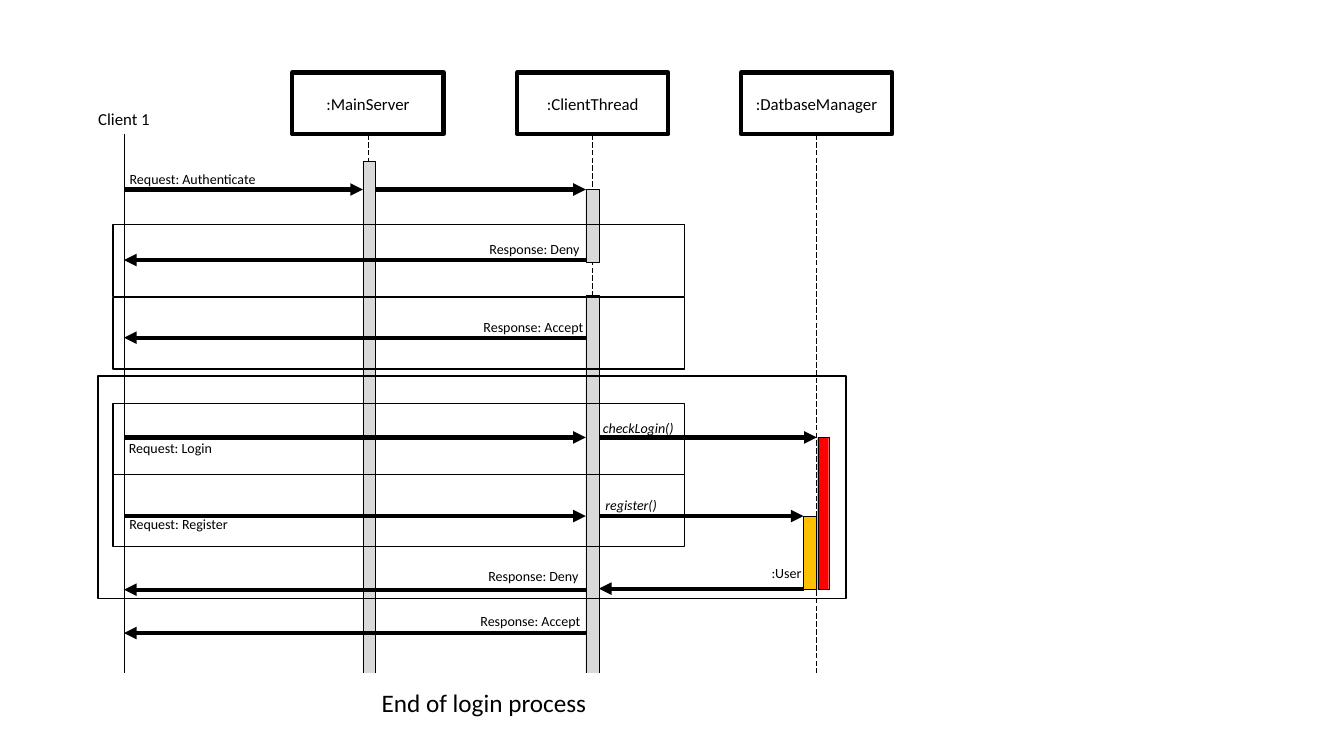
from dataclasses import dataclass
from typing import Optional

from lxml import etree
from pptx import Presentation
from pptx.dml.color import RGBColor
from pptx.enum.dml import MSO_LINE
from pptx.enum.shapes import MSO_CONNECTOR, MSO_SHAPE
from pptx.enum.text import MSO_ANCHOR, MSO_AUTO_SIZE, PP_ALIGN
from pptx.oxml.ns import qn
from pptx.shapes.autoshape import Shape
from pptx.shapes.connector import Connector
from pptx.slide import Slide
from pptx.util import Emu, Pt

RECT, LINE = MSO_SHAPE.RECTANGLE, MSO_CONNECTOR.STRAIGHT
DASH, CENTER = MSO_LINE.LONG_DASH, PP_ALIGN.CENTER
TOP, MIDDLE = MSO_ANCHOR.TOP, MSO_ANCHOR.MIDDLE
GROW, FIXED = MSO_AUTO_SIZE.SHAPE_TO_FIT_TEXT, MSO_AUTO_SIZE.NONE
BOTTOM = 2  # connection site
SCALE = 9144  # EMU in one px, 100 px to the inch


@dataclass(frozen=True)
class Theme:
    font: str = "Calibri"
    ink: str = "000000"
    paper: str = "FFFFFF"
    gray: str = "D9D9D9"
    red: str = "FF0000"
    gold: str = "FFC000"
    title: int = 18
    head: int = 12
    label: int = 10
    bold: float = 3
    frame: float = 1
    thin: float = 0.5
    hair: float = 0.25


@dataclass(frozen=True)
class Box:
    x: int
    y: int
    w: int
    h: int
    fill: Optional[str] = None


@dataclass(frozen=True)
class Arrow:
    start: int
    end: int
    y: int


@dataclass(frozen=True)
class Label:
    text: str
    x: int
    y: int
    italic: bool = False


THEME = Theme()

# Lifelines: middle of each column
CLIENT, MAIN, THREAD, BASE = 123, 365, 588, 810
HEADS = {":MainServer": MAIN, ":ClientThread": THREAD, ":DatbaseManager": BASE}
HEAD_W, HEAD_H, HEAD_Y, LIFE_END = 150, 61, 72, 732

BARS = [
    Box(360, 160, 12, 508, THEME.gray),
    Box(581, 188, 13, 72, THEME.gray),
    Box(581, 293, 13, 375, THEME.gray),
    Box(811, 434, 11, 151, THEME.red),
    Box(797, 512, 13, 73, THEME.gold),
]
FRAMES = [Box(112, y, 567, 71) for y in (223, 295, 400, 471)]
FRAMES.append(Box(97, 373, 742, 221))

ARROWS = [
    Arrow(CLIENT, 360, 188), Arrow(372, 581, 188),
    Arrow(581, CLIENT, 258), Arrow(581, CLIENT, 335),
    Arrow(CLIENT, 581, 434), Arrow(594, BASE, 434),
    Arrow(CLIENT, 581, 512), Arrow(594, 797, 512),
    Arrow(797, 594, 584), Arrow(581, CLIENT, 585),
    Arrow(581, CLIENT, 628),
]
LABELS = [
    Label("Request: Authenticate", 95, 164),
    Label("Response: Deny", 434, 234),
    Label("Response: Accept", 433, 311),
    Label("Request: Login", 73, 431),
    Label("checkLogin()", 537, 411, True),
    Label("Request: Register", 81, 507),
    Label("register()", 530, 488, True),
    Label(":User", 684, 555),
    Label("Response: Deny", 433, 558),
    Label("Response: Accept", 430, 603),
]
LABEL_W, LABEL_H = 192, 27


def px(num: int) -> Emu:
    return Emu(num * SCALE)


def write(shape: Shape, text: str, *, size: int, italic: bool = False,
          anchor: MSO_ANCHOR = TOP, fit: MSO_AUTO_SIZE = GROW) -> None:
    frame = shape.text_frame
    frame.text = text
    frame.word_wrap = True
    frame.auto_size = fit
    frame.vertical_anchor = anchor
    para = frame.paragraphs[0]
    para.alignment = CENTER
    font = para.runs[0].font
    font.name, font.size, font.italic = THEME.font, Pt(size), italic
    font.color.rgb = RGBColor.from_string(THEME.ink)


def draw_box(slide: Slide, box: Box, width: float,
             color: str = THEME.ink) -> Shape:
    shape = slide.shapes.add_shape(RECT, px(box.x), px(box.y), px(box.w), px(box.h))
    shape.shadow.inherit = False
    if box.fill:
        shape.fill.solid()
        shape.fill.fore_color.rgb = RGBColor.from_string(box.fill)
    else:
        shape.fill.background()
    shape.line.color.rgb = RGBColor.from_string(color)
    shape.line.width = Pt(width)
    return shape


def draw_text(slide: Slide, box: Box, text: str, size: int,
              italic: bool = False) -> Shape:
    shape = slide.shapes.add_textbox(px(box.x), px(box.y), px(box.w), px(box.h))
    write(shape, text, size=size, italic=italic)
    return shape


def draw_line(slide: Slide, x1: int, y1: int, x2: int, y2: int, width: float,
              dash: bool = False, tip: bool = False) -> Connector:
    line = slide.shapes.add_connector(LINE, px(x1), px(y1), px(x2), px(y2))
    line.line.color.rgb = RGBColor.from_string(THEME.ink)
    line.line.width = Pt(width)
    if dash:
        line.line.dash_style = DASH
    props = line.element.spPr
    if tip:
        etree.SubElement(props.find(qn("a:ln")), qn("a:tailEnd"), type="triangle")
    etree.SubElement(props, qn("a:effectLst"))
    return line


def draw_life(slide: Slide, head: Shape, mid: int, dash: bool) -> None:
    line = draw_line(slide, mid, HEAD_Y + HEAD_H, mid, LIFE_END, THEME.thin, dash)
    line.begin_connect(head, BOTTOM)


def main() -> None:
    deck = Presentation()
    deck.slide_width, deck.slide_height = px(1333), px(750)
    slide = deck.slides.add_slide(deck.slide_layouts.get_by_name("Title Only"))

    # Participants and lifelines
    for name, mid in HEADS.items():
        head = draw_box(slide, Box(mid - HEAD_W // 2, HEAD_Y, HEAD_W, HEAD_H), THEME.bold)
        write(head, name, size=THEME.head, anchor=MIDDLE, fit=FIXED)
        draw_life(slide, head, mid, True)
    client = draw_text(slide, Box(46, 103, 154, 30), "Client 1", THEME.head)
    draw_life(slide, client, CLIENT, False)

    # Activations, frames and messages
    for bar in BARS:
        draw_box(slide, bar, THEME.hair)
    for frame in FRAMES:
        draw_box(slide, frame, THEME.frame)
    for arrow in ARROWS:
        draw_line(slide, arrow.start, arrow.y, arrow.end, arrow.y, THEME.bold, tip=True)
    for label in LABELS:
        draw_text(slide, Box(label.x, label.y, LABEL_W, LABEL_H),
                  label.text, THEME.label, label.italic)

    # Closing band, with the title in front of it
    draw_box(slide, Box(95, 668, 762, 74, THEME.paper), THEME.frame, THEME.paper)
    title = slide.shapes.title
    title.left, title.top, title.width, title.height = map(px, (298, 677, 364, 40))
    write(title, "End of login process", size=THEME.title, fit=FIXED)
    title.element.getparent().append(title.element)

    deck.save("out.pptx")


if __name__ == "__main__":
    main()
